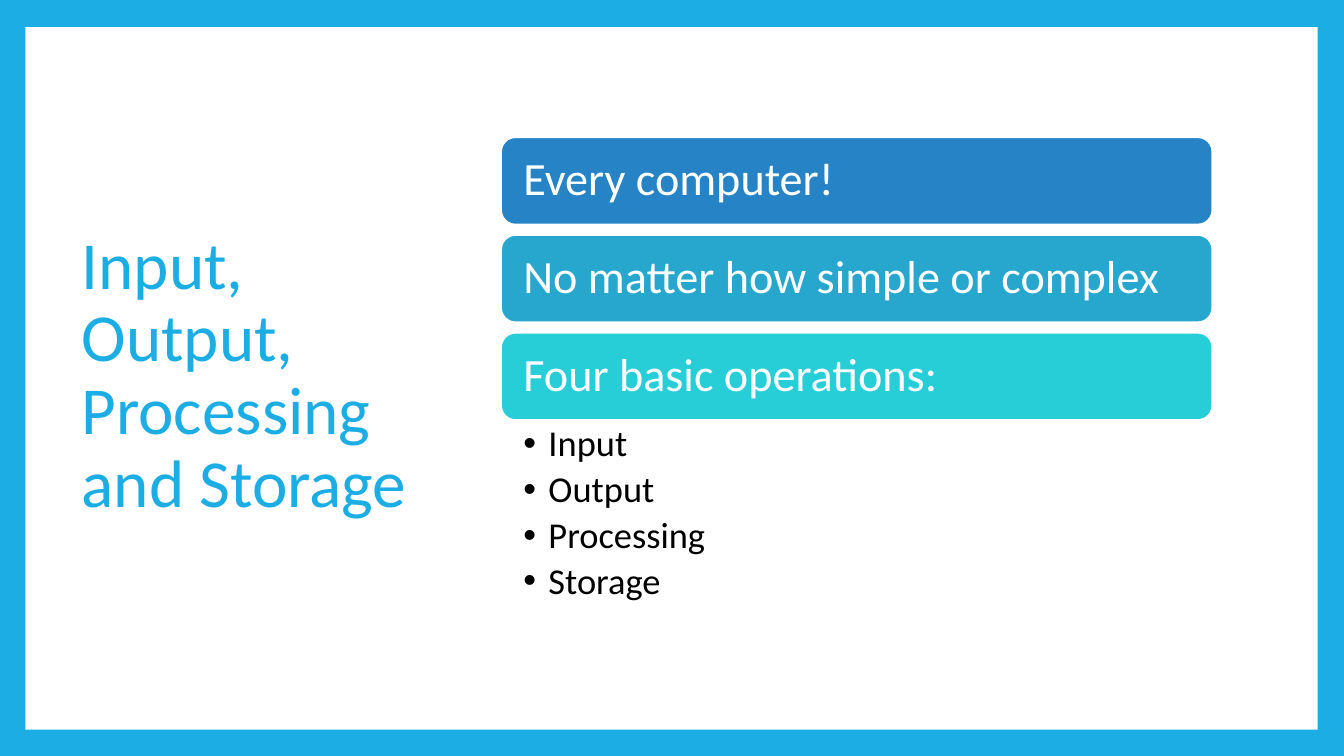
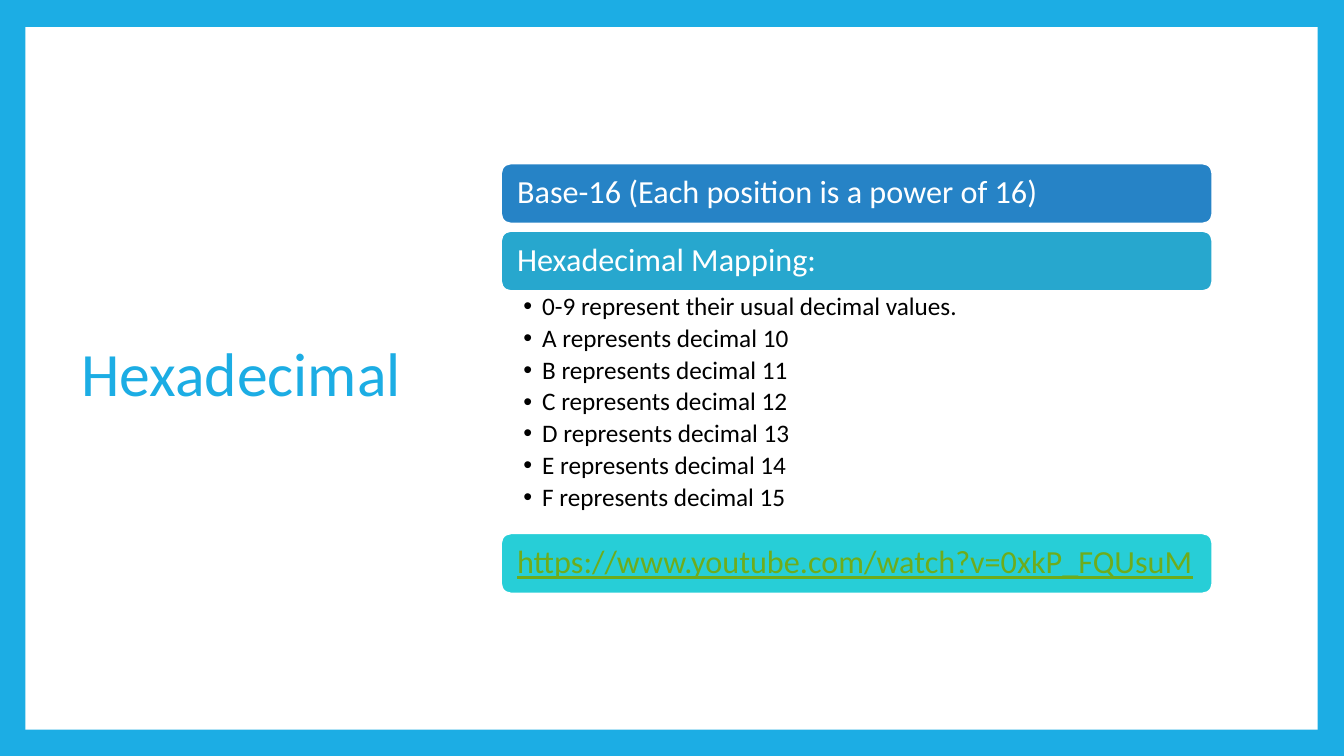
from dataclasses import dataclass

from lxml import etree
from pptx import Presentation
from pptx.dml.color import RGBColor
from pptx.enum.shapes import MSO_SHAPE
from pptx.enum.text import MSO_ANCHOR, PP_ALIGN
from pptx.oxml.ns import qn
from pptx.util import Inches, Pt

RECTANGLE = MSO_SHAPE.RECTANGLE
ROUNDED = MSO_SHAPE.ROUNDED_RECTANGLE
MIDDLE, TOP = MSO_ANCHOR.MIDDLE, MSO_ANCHOR.TOP
LEFT = PP_ALIGN.LEFT

# Shared look
FONT = "Calibri"
COLORS = {
    "accent": "1CADE4",
    "white": "FFFFFF",
    "black": "000000",
    "link": "6EAC1C",
}
BAR_COLORS = ["2683C6", "27A7CE", "27CED7"]
SLIDE_WIDTH, SLIDE_HEIGHT = Inches(13.33), Inches(7.5)

# Boxes as left, top, width, height in percent of the slide
PANEL = (1.88, 3.6, 96.15, 92.93)
TITLE = (5.33, 8.93, 27.6, 81.73)
STACK_LEFT, STACK_WIDTH = 37.27, 52.95


@dataclass
class StackStyle:
    """Heights are in percent of the slide's height, the rest in points."""
    top: float
    bar_height: float
    gap: float
    list_height: float
    bar_size: float
    bar_inset: float
    list_size: float
    list_indent: float
    list_inset: float


LARGE = StackStyle(18.13, 11.6, 1.33, 26.4, 33, 13, 26, 18, 3.6)
SMALL = StackStyle(21.6, 8, 0.93, 32, 23, 9.5, 18, 13.5, 2)
LIST_LEFT_INSET = 16


def color(value):
    return RGBColor.from_string(COLORS.get(value, value))


def place(box):
    """Turn percent of the slide into lengths."""
    sides = (SLIDE_WIDTH, SLIDE_HEIGHT) * 2
    return [int(side * share / 100) for side, share in zip(sides, box)]


def add_block(slide, kind, box, fill, line=None):
    shape = slide.shapes.add_shape(kind, *place(box))
    shape.shadow.inherit = False
    shape.fill.solid()
    shape.fill.fore_color.rgb = color(fill)
    if line:
        shape.line.color.rgb = color(line)
        shape.line.width = Pt(1.5)
    else:
        shape.line.fill.background()
    return shape


def set_frame(frame, anchor, left=7.2, top=3.6):
    frame.word_wrap = True
    frame.vertical_anchor = anchor
    frame.margin_left = frame.margin_right = Pt(left)
    frame.margin_top = frame.margin_bottom = Pt(top)


def set_paragraph(paragraph, text, size, text_color, underline=None):
    paragraph.text = text
    paragraph.alignment = LEFT
    paragraph.line_spacing = 0.9
    paragraph.font.name = FONT
    paragraph.font.size = Pt(size)
    paragraph.font.color.rgb = color(text_color)
    paragraph.font.underline = underline


def add_bullet(paragraph, indent):
    properties = paragraph._p.get_or_add_pPr()
    properties.set("marL", str(Pt(indent)))
    properties.set("indent", str(-Pt(indent)))
    etree.SubElement(properties, qn("a:buFont"), typeface="Arial")
    etree.SubElement(properties, qn("a:buChar"), char="•")


def add_title(slide, text, size):
    frame = slide.shapes.add_textbox(*place(TITLE)).text_frame
    set_frame(frame, MIDDLE)
    set_paragraph(frame.paragraphs[0], text, size, "accent")


def add_bar(slide, text, fill, top, style):
    box = (STACK_LEFT, top, STACK_WIDTH, style.bar_height)
    frame = add_block(slide, ROUNDED, box, fill, "white").text_frame
    set_frame(frame, MIDDLE, style.bar_inset)
    is_link = text.startswith("https:")
    set_paragraph(frame.paragraphs[0], text, style.bar_size,
                  "link" if is_link else "white", is_link or None)


def add_list(slide, items, top, style):
    box = (STACK_LEFT, top, STACK_WIDTH, style.list_height)
    frame = slide.shapes.add_textbox(*place(box)).text_frame
    set_frame(frame, TOP, LIST_LEFT_INSET, style.list_inset)
    for index, item in enumerate(items):
        paragraph = frame.add_paragraph() if index else frame.paragraphs[0]
        add_bullet(paragraph, style.list_indent)
        set_paragraph(paragraph, item, style.list_size, "black")
        paragraph.space_after = Pt(round(style.list_size * 0.18, 1))


def add_stack(slide, sections, style):
    """Stack the bars; a list fills the space right below its bar."""
    top = style.top
    for fill, (heading, items) in zip(BAR_COLORS, sections):
        add_bar(slide, heading, fill, top, style)
        top += style.bar_height
        if items:
            add_list(slide, items, top, style)
            top += style.list_height
        else:
            top += style.gap


def add_slide(presentation, title, title_size, sections, style):
    slide = presentation.slides.add_slide(presentation.slide_layouts[6])
    slide.background.fill.solid()
    slide.background.fill.fore_color.rgb = color("accent")
    add_block(slide, RECTANGLE, PANEL, "white")
    add_title(slide, title, title_size)
    add_stack(slide, sections, style)


def main():
    presentation = Presentation()
    presentation.slide_width = SLIDE_WIDTH
    presentation.slide_height = SLIDE_HEIGHT

    # Basic operations
    add_slide(presentation, "Input, Output, Processing and Storage", 48, [
        ("Every computer!", []),
        ("No matter how simple or complex", []),
        ("Four basic operations:",
         ["Input", "Output", "Processing", "Storage"]),
    ], LARGE)

    # Hexadecimal digits
    digits = [f"{digit} represents decimal {value}"
              for value, digit in enumerate("ABCDEF", start=10)]
    add_slide(presentation, "Hexadecimal", 44, [
        ("Base-16 (Each position is a power of 16)", []),
        ("Hexadecimal Mapping:",
         ["0-9 represent their usual decimal values.", *digits]),
        ("https://www.youtube.com/watch?v=0xkP_FQUsuM", []),
    ], SMALL)

    presentation.save("out.pptx")


if __name__ == "__main__":
    main()
